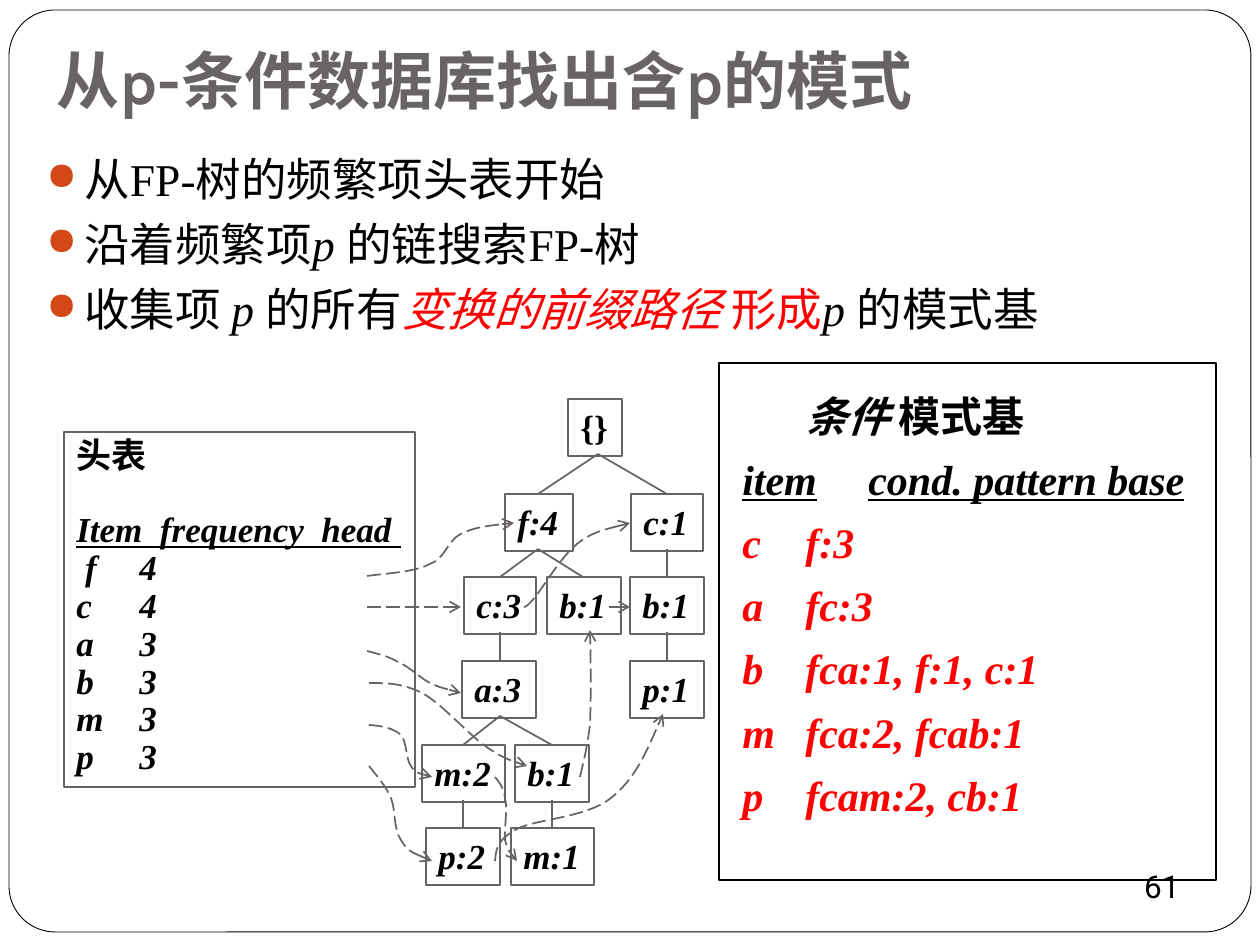
from dataclasses import dataclass
from typing import Sequence

from lxml import etree
from pptx import Presentation
from pptx.dml.color import RGBColor
from pptx.enum import dml, shapes, text
from pptx.oxml import ns
from pptx.util import Emu, Pt

SCALE = 914400 / 126  # EMU in one px
SERIF = "Times New Roman"
BLACK, GREY, RED, ORANGE, WHITE = "000000", "696464", "FF0000", "D34817", "FFFFFF"


@dataclass
class Run:
    text: str
    color: str = BLACK
    bold: bool = False
    italic: bool = False
    underline: bool = False


@dataclass
class Node:
    label: str
    row: int
    left: int
    width: int


@dataclass
class Edge:
    row: int  # row of the parent
    x1: int
    x2: int


def px(value: float) -> Emu:
    return Emu(round(value * SCALE))


def rgb(color: str) -> RGBColor:
    return RGBColor.from_string(color)


def add_xml(parent, tag: str, **attrs: str):
    return etree.SubElement(parent, ns.qn(tag), attrs)


def write(tf, paragraphs: Sequence[Sequence[Run]], size: int, font: str = SERIF,
          line: float = 1.0, before: float = 0) -> None:
    for i, runs in enumerate(paragraphs):
        p = tf.paragraphs[0] if i == 0 else tf.add_paragraph()
        p.alignment = text.PP_ALIGN.LEFT
        p.line_spacing, p.space_before = line, Pt(before)
        for run in runs:
            r = p.add_run()
            r.text = run.text
            r.font.name, r.font.size = font, Pt(size)
            r.font.bold, r.font.italic = run.bold, run.italic
            r.font.underline = run.underline
            r.font.color.rgb = rgb(run.color)


def add_text(slide, left: int, top: int, width: int, height: int):
    tf = slide.shapes.add_textbox(px(left), px(top), px(width), px(height)).text_frame
    tf.word_wrap = True
    return tf


def add_box(slide, left: int, top: int, width: int, height: int, color: str = GREY,
            weight: float = 1, kind=shapes.MSO_SHAPE.RECTANGLE):
    s = slide.shapes.add_shape(kind, px(left), px(top), px(width), px(height))
    s.shadow.inherit = False
    s.fill.background()
    s.line.color.rgb, s.line.width = rgb(color), Pt(weight)
    s.text_frame.vertical_anchor = text.MSO_ANCHOR.TOP
    return s


def style_line(s, arrow: bool) -> None:
    s.line.color.rgb, s.line.width = rgb(GREY), Pt(1)
    if arrow:
        s.line.dash_style = dml.MSO_LINE.LONG_DASH
        add_xml(s.line._get_or_add_ln(), "a:tailEnd", type="arrow")


def add_line(slide, x1: int, y1: int, x2: int, y2: int, arrow: bool = False) -> None:
    s = slide.shapes.add_connector(shapes.MSO_CONNECTOR.STRAIGHT,
                                   px(x1), px(y1), px(x2), px(y2))
    style_line(s, arrow)
    add_xml(s._element.spPr, "a:effectLst")


def add_curve(slide, points: Sequence[tuple[int, int]]) -> None:
    """Draw a Bezier arrow: a start, then three points for each segment."""
    builder = slide.shapes.build_freeform(*points[0], scale=SCALE)
    builder.add_line_segments(points[1:], close=False)
    s = builder.convert_to_shape()
    s.shadow.inherit = False
    s.fill.background()
    style_line(s, arrow=True)
    outline = s._element.find(".//" + ns.qn("a:path"))
    steps = outline.findall(ns.qn("a:lnTo"))
    for i in range(0, len(steps), 3):
        curve = add_xml(outline, "a:cubicBezTo")
        for step in steps[i:i + 3]:
            curve.append(step[0])
            outline.remove(step)


def add_bullet(p) -> None:
    pPr = p._p.get_or_add_pPr()
    pPr.set("marL", str(px(38)))
    pPr.set("indent", str(-px(38)))
    add_xml(add_xml(pPr, "a:buClr"), "a:srgbClr", val=ORANGE)
    add_xml(pPr, "a:buSzPct", val="85000")
    add_xml(pPr, "a:buChar", char="●")


ROWS = [399, 494, 577, 661, 745, 828]
NODE_HEIGHT = 57
NODES = [
    Node("{}", 0, 568, 54), Node("f:4", 1, 505, 68), Node("c:1", 1, 631, 72),
    Node("c:3", 2, 464, 72), Node("b:1", 2, 547, 74), Node("b:1", 2, 630, 74),
    Node("a:3", 3, 462, 74), Node("p:1", 3, 630, 74),
    Node("m:2", 4, 422, 83), Node("b:1", 4, 515, 74),
    Node("p:2", 5, 426, 74), Node("m:1", 5, 511, 83),
]
EDGES = [
    Edge(0, 598, 538), Edge(0, 598, 667), Edge(1, 538, 500), Edge(1, 538, 583),
    Edge(1, 667, 667), Edge(2, 500, 500), Edge(2, 667, 667), Edge(3, 500, 463),
    Edge(3, 500, 552), Edge(4, 463, 463), Edge(4, 552, 552),
]
STRAIGHT_LINKS = [(367, 607, 461, 607), (609, 607, 630, 607)]
CURVED_LINKS = [
    [(367, 576), (391, 573), (415, 572), (430, 564), (446, 558), (447, 541),
     (461, 534), (475, 527), (495, 525), (514, 523)],
    [(524, 607), (525, 607), (527, 607), (536, 596), (544, 586), (561, 557),
     (577, 544), (592, 532), (611, 528), (630, 523)],
    [(367, 651), (378, 654), (388, 656), (398, 662), (410, 667), (420, 678),
     (430, 683), (441, 688), (451, 690), (461, 693)],
    [(369, 683), (386, 683), (402, 683), (422, 693), (441, 703), (467, 733),
     (485, 746), (501, 757), (514, 762), (527, 766)],
    [(580, 777), (583, 764), (587, 750), (590, 725), (591, 701), (591, 665), (590, 630)],
    [(369, 725), (382, 726), (393, 728), (401, 735), (407, 742), (406, 760),
     (411, 766), (416, 774), (425, 775), (432, 777)],
    [(495, 777), (499, 782), (504, 788), (505, 798), (508, 809), (504, 829),
     (505, 840), (508, 851), (512, 856), (517, 861)],
    [(369, 766), (377, 776), (386, 786), (391, 798), (396, 810), (393, 828),
     (401, 840), (407, 851), (420, 856), (432, 861)],
    [(495, 861), (496, 851), (496, 840), (517, 829), (536, 819), (586, 818),
     (611, 798), (635, 779), (649, 746), (663, 714)],
]
BULLETS = [
    [Run("从FP-树的频繁项头表开始")],
    [Run("沿着频繁项"), Run("p", italic=True), Run(" 的链搜索FP-树")],
    [Run("收集项 "), Run("p", italic=True), Run(" 的所有"),
     Run("变换的前缀路径 ", RED, italic=True), Run("形成", RED),
     Run("p ", italic=True), Run("的模式基")],
]
HEADER_ROWS = [" f\t4", "c\t4", "a\t3", "b\t3", "m\t3", "p\t3"]
PATTERN_ROWS = ["c\tf:3", "a\tfc:3", "b\tfca:1, f:1, c:1", "m\tfca:2, fcab:1",
                "p\tfcam:2, cb:1"]


def main() -> None:
    prs = Presentation()
    prs.slide_width, prs.slide_height = px(1260), px(945)
    slide = prs.slides.add_slide(prs.slide_layouts[6])

    # Rounded page frame and page number
    frame = add_box(slide, 9, 10, 1242, 932 - 10, BLACK, 0.5,
                    shapes.MSO_SHAPE.ROUNDED_RECTANGLE)
    frame.adjustments[0] = 0.05
    frame.fill.solid()
    frame.fill.fore_color.rgb = rgb(WHITE)
    tf = add_text(slide, 851, 853, 341, 66)
    tf.vertical_anchor = text.MSO_ANCHOR.MIDDLE
    write(tf, [[Run("61")]], 18, "Roboto")
    tf.paragraphs[0].alignment = text.PP_ALIGN.RIGHT

    # Title and bullets
    tf = add_text(slide, 44, 26, 1071, 105)
    tf.vertical_anchor, tf.margin_bottom = text.MSO_ANCHOR.BOTTOM, px(13)
    write(tf, [[Run("从p-条件数据库找出含p的模式", GREY, bold=True)]], 36, "Karla", 0.9)
    tf = add_text(slide, 34, 145, 1194, 243)
    write(tf, BULLETS, 26, before=5.8)
    for p in tf.paragraphs:
        add_bullet(p)

    # Conditional pattern bases
    tf = add_text(slide, 730, 384, 517, 461)
    write(tf, [[Run("\t条件 ", bold=True, italic=True), Run("模式基", bold=True)],
               [Run("item\tcond. pattern base", BLACK, True, True, True)],
               *[[Run(row, RED, True, True)] for row in PATTERN_ROWS]],
          24, line=0.8, before=13)
    tf.paragraphs[0].line_spacing = 1.0
    add_box(slide, 719, 363, 497, 517, BLACK, 0.75)

    # FP-tree
    for node in NODES:
        s = add_box(slide, node.left, ROWS[node.row], node.width, NODE_HEIGHT)
        s.text_frame.word_wrap = False
        write(s.text_frame, [[Run(node.label, bold=True, italic=node.row > 0)]], 20)
    for edge in EDGES:
        add_line(slide, edge.x1, ROWS[edge.row] + NODE_HEIGHT - 2,
                 edge.x2, ROWS[edge.row + 1])

    # Header table
    tf = add_box(slide, 64, 432, 351, 355).text_frame
    tf.word_wrap = True
    write(tf, [[Run("头表", bold=True)],
               [Run("Item  frequency  head ", BLACK, True, True, True)],
               *[[Run(row, bold=True, italic=True)] for row in HEADER_ROWS]],
          20, line=0.9)
    tf.paragraphs[1].space_before = Pt(21)

    # Node links
    for link in STRAIGHT_LINKS:
        add_line(slide, *link, arrow=True)
    for points in CURVED_LINKS:
        add_curve(slide, points)

    prs.save("out.pptx")


if __name__ == "__main__":
    main()
